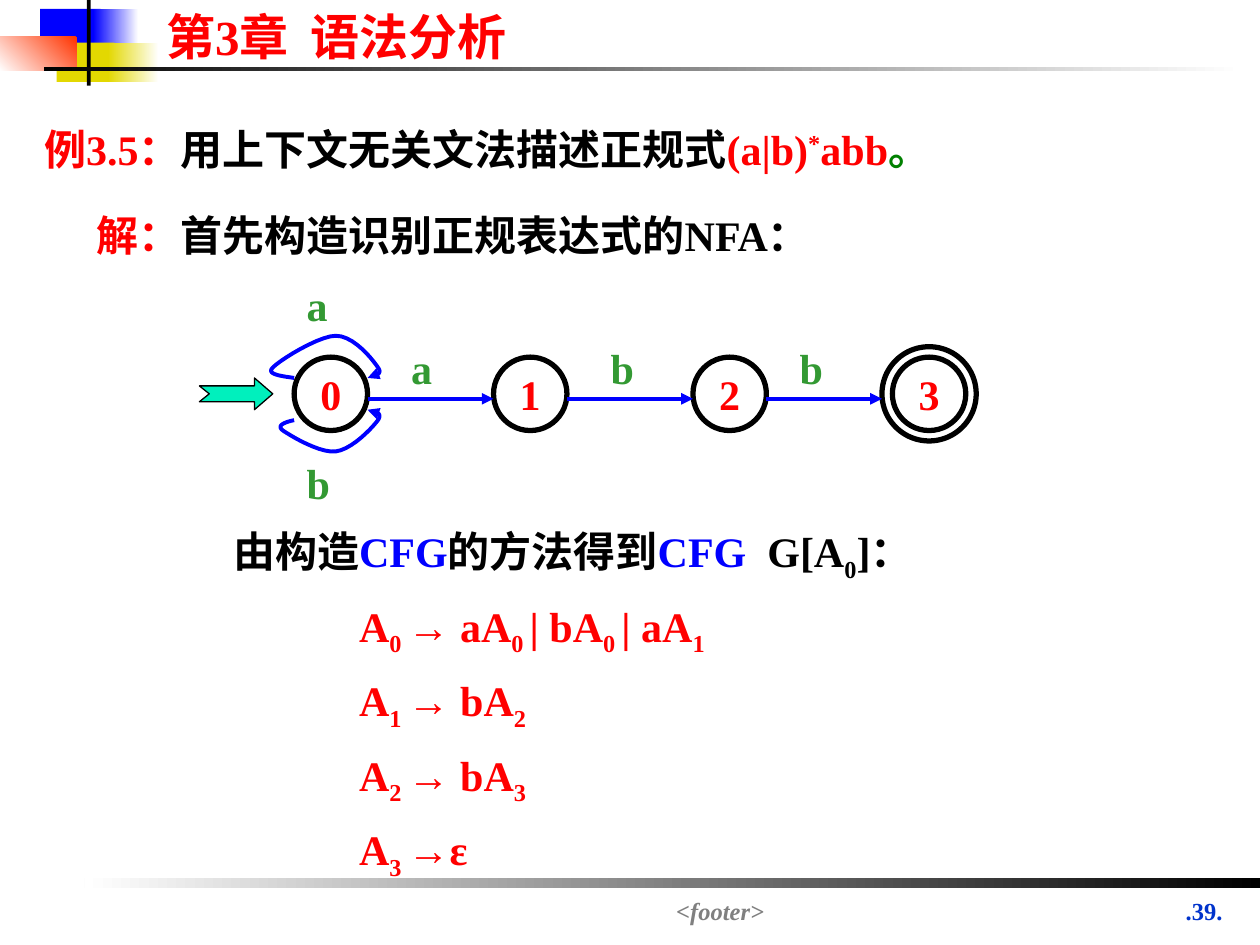
from lxml import etree
from pptx import Presentation
from pptx.dml.color import RGBColor
from pptx.enum.shapes import MSO_CONNECTOR, MSO_SHAPE
from pptx.enum.text import MSO_ANCHOR, PP_ALIGN
from pptx.oxml.ns import qn
from pptx.util import Cm, Pt

RECT, OVAL = MSO_SHAPE.RECTANGLE, MSO_SHAPE.OVAL
STRAIGHT = MSO_CONNECTOR.STRAIGHT
LEFT, CENTER = PP_ALIGN.LEFT, PP_ALIGN.CENTER
FONT = "Times New Roman"
COLORS = {
    "black": "000000", "white": "FFFFFF", "red": "FF0000", "blue": "0000FF",
    "yellow": "E3D801", "orange": "FF3300", "label": "339933", "green": "008000",
    "number": "0033CC", "gray": "808080", "mint": "00F0BD",
}
RGB = {name: RGBColor.from_string(value) for name, value in COLORS.items()}

prs = Presentation()
prs.slide_width, prs.slide_height = Cm(25.4), Cm(19.05)
s = prs.slides.add_slide(prs.slide_layouts[6])


def fill_text(tf, paragraphs, size=24, align=LEFT, italic=False, spacing=None):
    """Write paragraphs given as lists of (text, colour, baseline shift in %)."""
    for i, runs in enumerate(paragraphs):
        p = tf.paragraphs[0] if i == 0 else tf.add_paragraph()
        p.alignment = align
        if spacing:
            p.line_spacing = spacing
        for text, color, shift in runs:
            r = p.add_run()
            r.text = text
            r.font.name, r.font.size = FONT, Pt(size)
            r.font.bold, r.font.italic = True, italic
            r.font.color.rgb = RGB[color]
            if shift:
                r._r.get_or_add_rPr().set("baseline", str(shift * 1000))


def add_text(x, y, w, h, paragraphs, **style):
    tf = s.shapes.add_textbox(Cm(x), Cm(y), Cm(w), Cm(h)).text_frame
    tf.word_wrap = True
    fill_text(tf, paragraphs, **style)
    return tf


# Corner ornament and the two rules: x, y, w, h, first and last colour, angle
bars = [
    (0.81, 0.18, 1.22, 0.79, "blue", None, 0),
    (1.88, 0.18, 0.91, 0.79, "white", "blue", 180),
    (1.14, 0.86, 1.17, 0.79, "yellow", None, 0),
    (2.18, 0.86, 1.02, 0.79, "white", "yellow", 180),
    (0, 0.74, 1.55, 0.69, "orange", "white", 225),
    (1.75, 0, 0.08, 1.73, "black", None, 0),
    (0.89, 1.35, 24.16, 0.09, "white", "black", 180),
    (1.7, 17.7, 23.7, 0.2, "black", "white", 180),
]
for x, y, w, h, first, last, angle in bars:
    sp = s.shapes.add_shape(RECT, Cm(x), Cm(y), Cm(w), Cm(h))
    sp.shadow.inherit = False
    sp.line.fill.background()
    if last:
        sp.fill.gradient()
        sp.fill.gradient_angle = angle
        for stop, color in zip(sp.fill.gradient_stops, (first, last)):
            stop.color.rgb = RGB[color]
    else:
        sp.fill.solid()
        sp.fill.fore_color.rgb = RGB[first]

# Title, footer and page number
add_text(3.1, 0, 12, 1.45, [[("第3章  语法分析", "red", 0)]], size=28)
add_text(5.11, 17.93, 18.82, 0.66, [[("<footer>", "gray", 0)]],
         size=14, align=CENTER, italic=True)
add_text(23.22, 17.93, 2.11, 1.45, [[(".39.", "number", 0)]], size=14, align=CENTER)

# Problem statement
tf = add_text(0.64, 1.85, 23.93, 3.53, [
    [("例3.5：", "red", 0), ("用上下文无关文法描述正规式", "black", 0),
     ("(a|b)", "red", 0), ("*", "red", 30), ("abb", "red", 0), ("。", "green", 0)],
    [("解：", "red", 0), ("首先构造识别正规表达式的NFA：", "black", 0)],
], spacing=1.5)
tf.paragraphs[1].space_before = Pt(6)
tf.paragraphs[1]._p.get_or_add_pPr().set("indent", str(Cm(1.06)))

# NFA states; the last one has an outer ring
START, PITCH, SIZE, TOP, RING = 5.93, 4.02, 1.48, 7.2, 0.21
circles = [(START + i * PITCH, TOP, SIZE, str(i)) for i in range(4)]
circles.append((START + 3 * PITCH - RING, TOP - RING, SIZE + 2 * RING, ""))
for x, y, size, label in circles:
    sp = s.shapes.add_shape(OVAL, Cm(x), Cm(y), Cm(size), Cm(size))
    sp.shadow.inherit = False
    sp.fill.background()
    sp.line.color.rgb = RGB["black"]
    sp.line.width = Pt(3)
    if label:
        tf = sp.text_frame
        tf.word_wrap = False
        tf.vertical_anchor = MSO_ANCHOR.MIDDLE
        fill_text(tf, [[(label, "red", 0)]], align=CENTER)

# Transitions between states
arrows = []
for i in range(3):
    x1 = START + i * PITCH + SIZE
    x2 = START + (i + 1) * PITCH - (RING if i == 2 else 0)
    cn = s.shapes.add_connector(STRAIGHT, Cm(x1), Cm(8.04), Cm(x2), Cm(8.04))
    etree.SubElement(cn._element.spPr, qn("a:effectLst"))
    arrows.append(cn)

# Loops on state 0: a start point, then Bezier segments
loops = [
    [(5.93, 8.47),
     (5.74, 8.51), (5.55, 8.58), (5.72, 8.69),
     (5.87, 8.79), (6.45, 9.14), (6.77, 9.1),
     (7.1, 9.06), (7.52, 8.61), (7.62, 8.47),
     (7.72, 8.33), (7.57, 8.28), (7.41, 8.26)],
    [(5.93, 7.62),
     (5.64, 7.58), (5.36, 7.54), (5.5, 7.41),
     (5.64, 7.26), (6.43, 6.77), (6.77, 6.77),
     (7.14, 6.77), (7.52, 7.26), (7.62, 7.41),
     (7.72, 7.54), (7.57, 7.58), (7.41, 7.62)],
]
STEPS = 10
for loop in loops:
    points = []
    for k in range(0, len(loop) - 1, 3):
        for t in (n / STEPS for n in range(1, STEPS + 1)):
            weights = ((1 - t) ** 3, 3 * t * (1 - t) ** 2, 3 * t * t * (1 - t), t ** 3)
            points.append(tuple(
                Cm(sum(c * pt[axis] for c, pt in zip(weights, loop[k:k + 4])))
                for axis in (0, 1)))
    fb = s.shapes.build_freeform(Cm(loop[0][0]), Cm(loop[0][1]))
    fb.add_line_segments(points, close=False)
    sp = fb.convert_to_shape()
    sp.shadow.inherit = False
    sp.fill.background()
    arrows.append(sp)

for arrow in arrows:
    arrow.line.color.rgb = RGB["blue"]
    arrow.line.width = Pt(2.25)
    etree.SubElement(arrow.line._get_or_add_ln(), qn("a:tailEnd"), type="triangle")

# Entry arrow
outline = [(4.02, 7.78), (5.13, 7.78), (5.13, 7.62), (5.5, 7.94),
           (5.13, 8.26), (5.13, 8.1), (4.02, 8.1), (4.22, 7.94)]
outline = [(Cm(x), Cm(y)) for x, y in outline]
fb = s.shapes.build_freeform(*outline[0])
fb.add_line_segments(outline[1:], close=True)
sp = fb.convert_to_shape()
sp.shadow.inherit = False
sp.fill.solid()
sp.fill.fore_color.rgb = RGB["mint"]
sp.line.color.rgb = RGB["black"]
sp.line.width = Pt(0.75)

for x, y, label in [(8.04, 6.77, "a"), (12.06, 6.77, "b"), (15.87, 6.77, "b"),
                    (5.93, 5.5, "a"), (5.93, 9.1, "b")]:
    add_text(x, y, 1.27, 1.27, [[(label, "label", 0)]])

# Resulting grammar; every second part between ~ marks is a subscript
productions = ["A~0 ~→ aA~0 ~| bA~0 ~| aA~1", "A~1 ~→ bA~2", "A~2 ~→ bA~3", "A~3 ~→ε"]
grammar = [[("由构造", "black", 0), ("CFG", "blue", 0), ("的方法得到", "black", 0),
            ("CFG ", "blue", 0), (" G[A", "black", 0), ("0", "black", -25),
            ("]：", "black", 0)]]
for production in productions:
    grammar.append([(part, "red", -25 if i % 2 else 0)
                    for i, part in enumerate(production.split("~")) if part])
tf = add_text(4.45, 10.13, 15.01, 7.77, grammar, spacing=1.3)
for p in tf.paragraphs[1:]:
    p._p.get_or_add_pPr().set("marL", str(Cm(2.54)))

prs.save("out.pptx")
